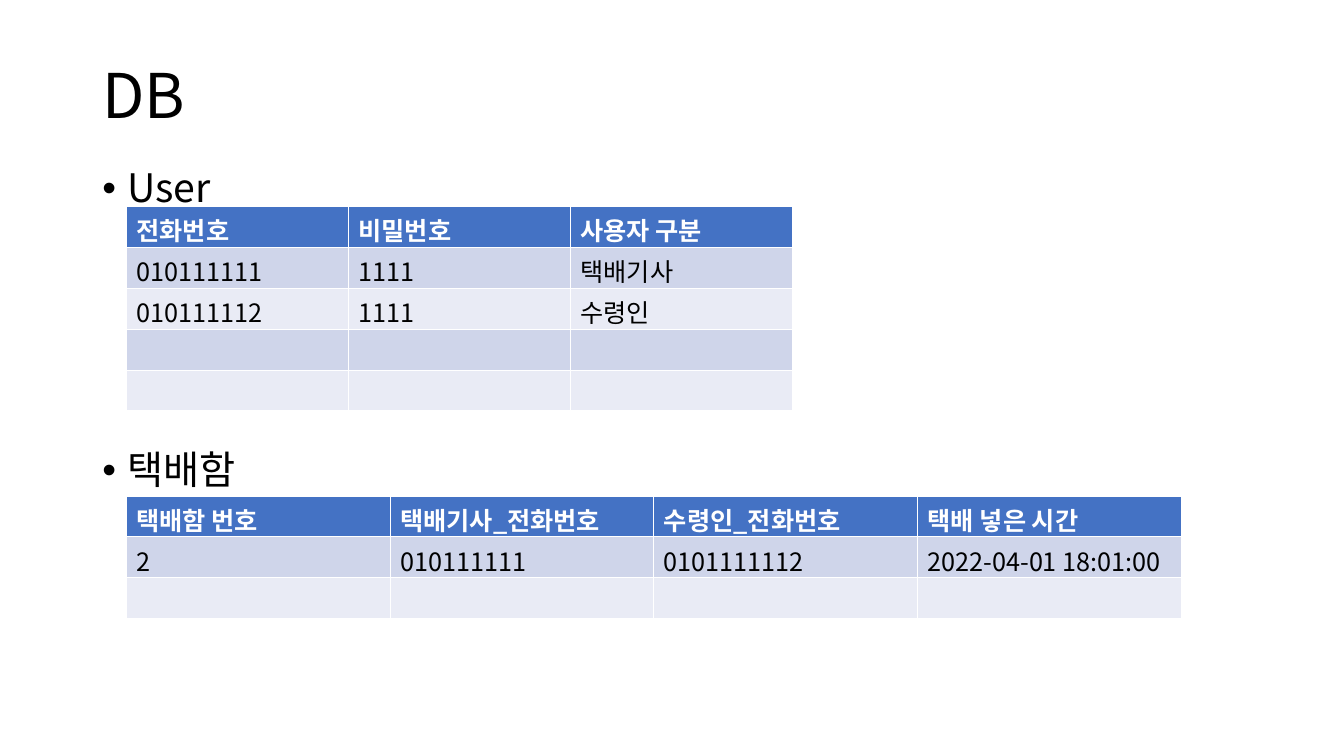
from lxml.etree import SubElement
from pptx import Presentation
from pptx.dml.color import RGBColor
from pptx.enum.text import MSO_ANCHOR
from pptx.oxml.ns import qn
from pptx.util import Inches, Pt

COLORS = {
    "text": "000000",
    "header_text": "FFFFFF",
    "header": "4472C4",
    "odd_row": "CFD5EA",
    "even_row": "E9EBF5",
}


class DatabaseSlide:
    font_name = "Noto Sans CJK KR"
    grid_columns, grid_rows = 160, 90

    def __init__(self, presentation):
        self.column = presentation.slide_width / self.grid_columns
        self.row = presentation.slide_height / self.grid_rows
        self.slide = presentation.slides.add_slide(presentation.slide_layouts[6])

    def place(self, left, top, width, height):
        return (int(left * self.column), int(top * self.row),
                int(width * self.column), int(height * self.row))

    def style(self, paragraph, size, color="text", bold=False):
        font = paragraph.font
        font.name, font.size, font.bold = self.font_name, Pt(size), bold
        font.color.rgb = RGBColor.from_string(COLORS[color])
        properties = paragraph._p.get_or_add_pPr().find(qn("a:defRPr"))
        SubElement(properties, qn("a:ea"), typeface=self.font_name)
        for run in paragraph.runs:
            run.font.name, run.font.size, run.font.bold = self.font_name, Pt(size), bold
            run.font.color.rgb = font.color.rgb
            SubElement(run.font._element, qn("a:ea"), typeface=self.font_name)

    def text(self, wording, area, size, anchor=MSO_ANCHOR.TOP):
        frame = self.slide.shapes.add_textbox(*self.place(*area)).text_frame
        frame.word_wrap = True
        frame.vertical_anchor = anchor
        paragraph = frame.paragraphs[0]
        paragraph.text = wording
        paragraph.line_spacing = 0.9
        self.style(paragraph, size)
        return paragraph

    def bullet(self, wording, top):
        paragraph = self.text(wording, (11, top, 138, 6), 28)
        properties = paragraph._p.get_or_add_pPr()
        properties.set("marL", str(Inches(0.25)))
        properties.set("indent", str(-Inches(0.25)))
        line_spacing = properties.find(qn("a:lnSpc"))
        bullet_font = properties.makeelement(qn("a:buFont"), {"typeface": "Arial"})
        bullet_character = properties.makeelement(qn("a:buChar"), {"char": "•"})
        line_spacing.addnext(bullet_font)
        bullet_font.addnext(bullet_character)

    def table(self, records, top, column_width, row_height=4.87):
        row_count, column_count = len(records), len(records[0])
        area = self.place(15.05, top, column_width * column_count, row_height * row_count)
        table = self.slide.shapes.add_table(row_count, column_count, *area).table
        for row_index, record in enumerate(records):
            is_header = row_index == 0
            fill = "header" if is_header else "odd_row" if row_index % 2 else "even_row"
            for column_index, wording in enumerate(record):
                cell = table.cell(row_index, column_index)
                cell.fill.solid()
                cell.fill.fore_color.rgb = RGBColor.from_string(COLORS[fill])
                cell.text = wording
                self.style(cell.text_frame.paragraphs[0], 18,
                           "header_text" if is_header else "text", is_header)


def main():
    presentation = Presentation()
    presentation.slide_width, presentation.slide_height = Inches(13.33), Inches(7.5)
    database = DatabaseSlide(presentation)
    database.text("DB", (11, 4.8, 138, 13.8), 44, MSO_ANCHOR.MIDDLE)
    database.bullet("User", 19.5)
    database.bullet("택배함", 53.1)
    database.table([
        ["전화번호", "비밀번호", "사용자 구분"],
        ["010111111", "1111", "택배기사"],
        ["010111112", "1111", "수령인"],
        [""] * 3,
        [""] * 3,
    ], top=24.6, column_width=26.43)
    database.table([
        ["택배함 번호", "택배기사_전화번호", "수령인_전화번호", "택배 넣은 시간"],
        ["2", "010111111", "0101111112", "2022-04-01 18:01:00"],
        [""] * 4,
    ], top=59.04, column_width=31.4)
    presentation.save("out.pptx")


if __name__ == "__main__":
    main()
